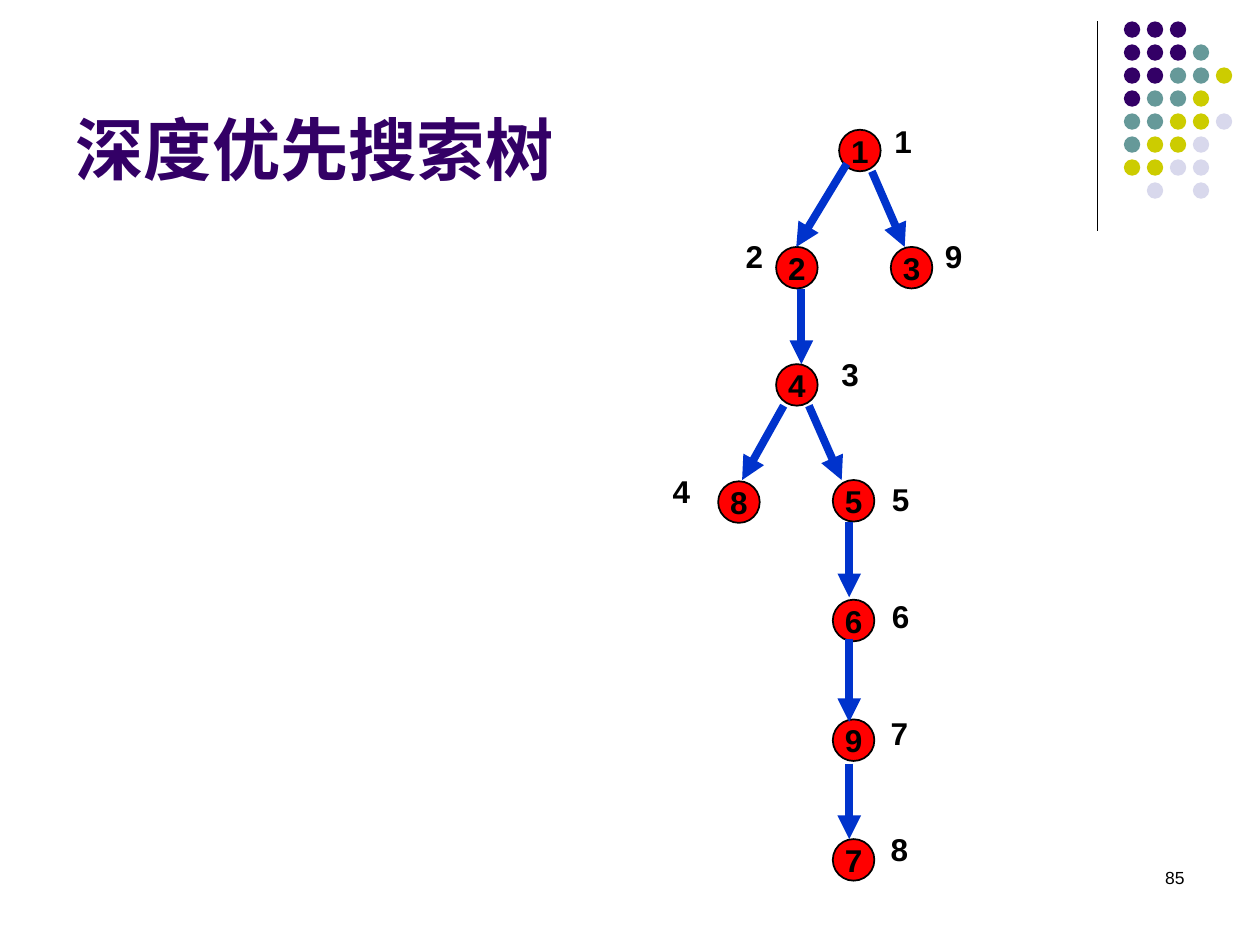
from lxml.etree import SubElement
from pptx import Presentation
from pptx.dml.color import RGBColor
from pptx.enum.shapes import MSO_CONNECTOR, MSO_SHAPE
from pptx.enum.text import MSO_ANCHOR, MSO_AUTO_SIZE, PP_ALIGN
from pptx.oxml.ns import qn
from pptx.util import Inches, Pt

BLACK = RGBColor(0x00, 0x00, 0x00)
WHITE = RGBColor(0xFF, 0xFF, 0xFF)
RED = RGBColor(0xFF, 0x00, 0x00)
BLUE = RGBColor(0x00, 0x33, 0xCC)
PURPLE = RGBColor(0x33, 0x00, 0x66)
TEAL = RGBColor(0x66, 0x99, 0x99)
OLIVE = RGBColor(0xCC, 0xCC, 0x00)
LAVENDER = RGBColor(0xD8, 0xD8, 0xEC)

TITLE = "深度优先搜索树"
PAGE_NUMBER = "85"

NODES = [
    ("1", 6.66, 1.03), ("2", 6.16, 1.96), ("3", 7.07, 1.96),
    ("4", 6.16, 2.89), ("8", 5.7, 3.82), ("5", 6.61, 3.81),
    ("6", 6.61, 4.76), ("9", 6.61, 5.71), ("7", 6.61, 6.66),
]
VISIT_ORDER = [
    ("1", 7, 0.92), ("2", 5.82, 1.83), ("3", 6.58, 2.77),
    ("4", 5.24, 3.7), ("5", 6.98, 3.76), ("6", 6.98, 4.69),
    ("7", 6.97, 5.62), ("8", 6.97, 6.54), ("9", 7.4, 1.83),
]
EDGES = [
    (6.92, 1.36, 7.18, 1.96), (6.72, 1.3, 6.32, 1.96),
    (6.36, 2.29, 6.36, 2.89), (6.42, 3.22, 6.68, 3.81),
    (6.22, 3.22, 5.89, 3.81), (6.74, 4.14, 6.74, 4.74),
    (6.74, 5.07, 6.74, 5.73), (6.74, 6.06, 6.74, 6.66),
]
DOT_ROWS = ["PPP", "PPPT", "PPTTO", "PTTO", "TTOOL", "TOOL", "OOLL", " L L"]
DOT_COLORS = {"P": PURPLE, "T": TEAL, "O": OLIVE, "L": LAVENDER}
DOT_LEFT, DOT_TOP, DOT_SIZE = 8.92, 0.17, 0.13
DOT_PITCH = (9.65 - DOT_LEFT) / 4
NODE_SIZE = 0.33


def write(shape, text, size, color=BLACK, bold=True, align=PP_ALIGN.LEFT):
    paragraph = shape.text_frame.paragraphs[0]
    paragraph.text = text
    paragraph.alignment = align
    font = paragraph.font
    font.name, font.size, font.bold = "Arial", Pt(size), bold
    font.color.rgb = color


def add_circle(slide, left, top, size, color):
    circle = slide.shapes.add_shape(
        MSO_SHAPE.OVAL, Inches(left), Inches(top), Inches(size), Inches(size))
    circle.shadow.inherit = False
    circle.fill.solid()
    circle.fill.fore_color.rgb = color
    circle.line.fill.background()
    return circle


def add_line(slide, ends, color, width, arrow=False):
    line = slide.shapes.add_connector(
        MSO_CONNECTOR.STRAIGHT, *[Inches(value) for value in ends])
    line.line.color.rgb = color
    line.line.width = Pt(width)
    if arrow:
        SubElement(line.line._get_or_add_ln(), qn("a:tailEnd"), type="triangle")
    SubElement(line._element.spPr, qn("a:effectLst"))


def add_text(slide, left, top, width, height):
    box = slide.shapes.add_textbox(
        Inches(left), Inches(top), Inches(width), Inches(height))
    box.text_frame.word_wrap = True
    return box


def main():
    presentation = Presentation()
    presentation.slide_width, presentation.slide_height = Inches(10), Inches(7.5)
    slide = presentation.slides.add_slide(presentation.slide_layouts[5])

    title = slide.shapes.title
    title.left, title.top = Inches(0.5), Inches(0.13)
    title.width, title.height = Inches(8.25), Inches(1.42)
    title.text_frame.vertical_anchor = MSO_ANCHOR.BOTTOM
    title.text_frame.auto_size = MSO_AUTO_SIZE.NONE
    write(title, TITLE, 39, PURPLE)

    add_line(slide, (8.71, 0.17, 8.71, 1.83), BLACK, 0.75)
    for row, codes in enumerate(DOT_ROWS):
        for column, code in enumerate(codes):
            if code in DOT_COLORS:
                add_circle(slide, DOT_LEFT + column * DOT_PITCH,
                           DOT_TOP + row * DOT_PITCH, DOT_SIZE, DOT_COLORS[code])

    page_number = add_text(slide, 7.17, 6.83, 2.33, 0.5)
    write(page_number, PAGE_NUMBER, 10, bold=False, align=PP_ALIGN.RIGHT)

    for order, left, top in VISIT_ORDER:
        label = add_text(slide, left, top, 0.35 if order == "4" else 0.26, 0.4)
        label.fill.solid()
        label.fill.fore_color.rgb = WHITE
        write(label, order, 18)

    for name, left, top in NODES:
        node = add_circle(slide, left, top, NODE_SIZE, RED)
        node.line.color.rgb = BLACK
        node.line.width = Pt(1)
        node.text_frame.word_wrap = False
        node.text_frame.vertical_anchor = MSO_ANCHOR.MIDDLE
        write(node, name, 18, align=PP_ALIGN.CENTER)

    for ends in EDGES:
        add_line(slide, ends, BLUE, 4.5, arrow=True)

    presentation.save("out.pptx")


if __name__ == "__main__":
    main()
